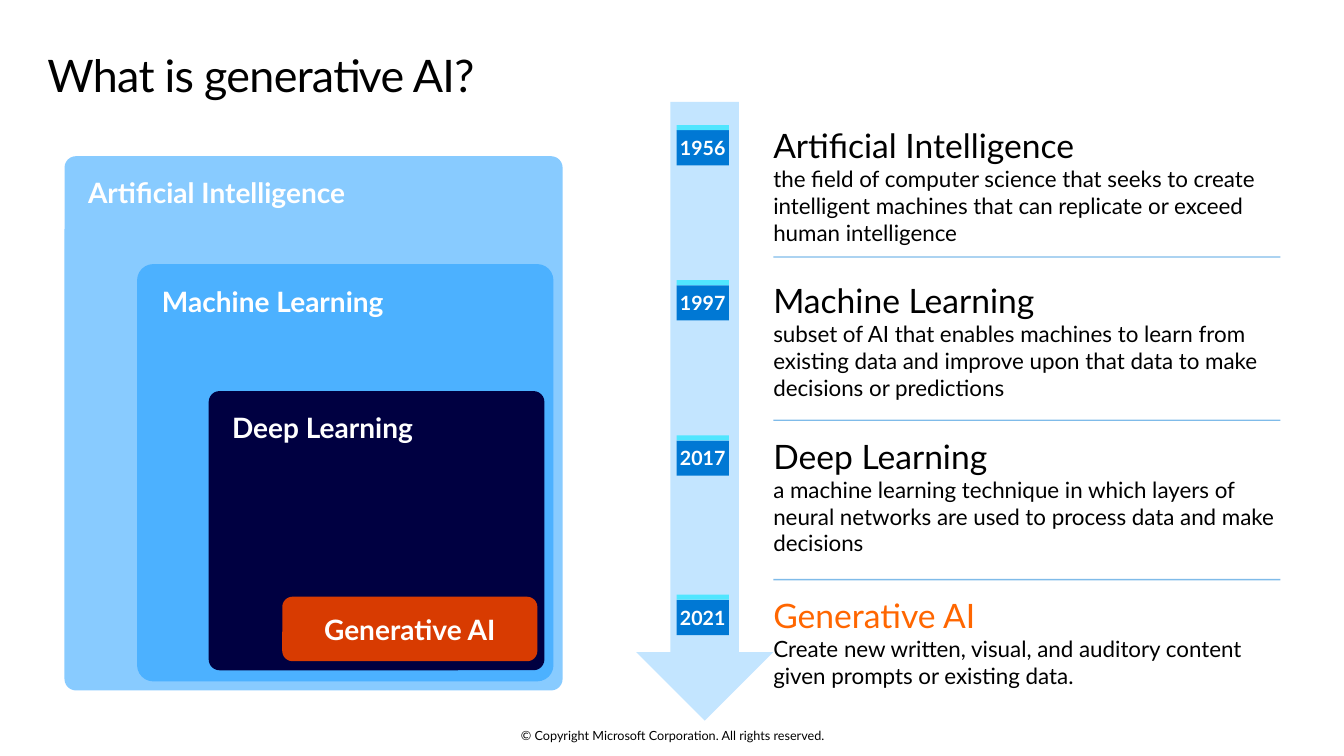
from lxml.etree import SubElement
from pptx import Presentation
from pptx.dml.color import RGBColor
from pptx.enum.shapes import MSO_CONNECTOR as Connector, MSO_SHAPE as Shape
from pptx.enum.text import MSO_ANCHOR as Anchor, PP_ALIGN as Align
from pptx.oxml.ns import qn
from pptx.util import Inches, Pt

FONT = "Lato"
COLORS = {
    "black": "000000",
    "white": "FFFFFF",
    "arrow": "C3E5FF",
    "blue": "0078D4",
    "cyan": "50E6FF",
    "orange": "FF6600",
    "ai": "88CBFF",
    "machine": "4CB1FF",
    "deep": "000041",
    "generative": "D83B01",
}
LAYERS = [
    ("Artificial Intelligence", (0.64, 1.55, 4.94, 5.3), 0.023, "ai"),
    ("Machine Learning", (1.36, 2.62, 4.13, 4.14), 0.039, "machine"),
    ("Deep Learning", (2.07, 3.88, 3.33, 2.77), 0.039, "deep"),
    ("Generative AI", (2.8, 5.92, 2.53, 0.64), 0.159, "generative"),
]
MILESTONES = [
    (1.24, "1956", "Artificial Intelligence", "black",
     "the field of computer science that seeks to create intelligent machines "
     "that can replicate or exceed human intelligence"),
    (2.78, "1997", "Machine Learning", "black",
     "subset of AI that enables machines to learn from existing data and "
     "improve upon that data to make decisions or predictions"),
    (4.32, "2017", "Deep Learning", "black",
     "a machine learning technique in which layers of neural networks are "
     "used to process data and make decisions"),
    (5.9, "2021", "Generative AI", "orange",
     "Create new written, visual, and auditory content given prompts or "
     "existing data."),
]
DIVIDERS = [2.55, 4.17, 5.75]
TEXT_LEFT, TEXT_WIDTH = 7.67, 5.03
BADGE_LEFT, BADGE_WIDTH = 6.71, 0.52
STRIP_HEIGHT, YEAR_HEIGHT = 0.05, 0.35


def color(name):
    """Return the named colour."""
    return RGBColor.from_string(COLORS[name])


def set_frame(text_frame, margins=(0, 0, 0, 0), anchor=Anchor.TOP):
    """Set wrapping, margins and vertical anchor of a text frame."""
    text_frame.word_wrap = True
    text_frame.vertical_anchor = anchor
    left, top, right, bottom = map(Inches, margins)
    text_frame.margin_left, text_frame.margin_top = left, top
    text_frame.margin_right, text_frame.margin_bottom = right, bottom


def write(paragraph, text, size, color_name, bold=False, align=Align.LEFT):
    """Write one formatted run in a paragraph."""
    paragraph.text = text
    paragraph.alignment = align
    font = paragraph.runs[0].font
    font.name, font.size, font.bold = FONT, Pt(size), bold
    font.color.rgb = color(color_name)


def add_filled(slide, kind, box, fill):
    """Add a borderless filled shape."""
    shape = slide.shapes.add_shape(kind, *map(Inches, box))
    shape.shadow.inherit = False
    shape.fill.solid()
    shape.fill.fore_color.rgb = color(fill)
    shape.line.fill.background()
    return shape


def add_text_box(slide, box, anchor=Anchor.TOP):
    """Add a text box without margins and return its text frame."""
    text_frame = slide.shapes.add_textbox(*map(Inches, box)).text_frame
    set_frame(text_frame, anchor=anchor)
    return text_frame


def add_title(slide, text):
    """Place and format the title placeholder."""
    title = slide.shapes.title
    title.left, title.top = Inches(0.47), Inches(0.43)
    title.width, title.height = Inches(12.4), Inches(0.74)
    set_frame(title.text_frame, (0, 0.1, 0.16, 0.1))
    paragraph = title.text_frame.paragraphs[0]
    write(paragraph, text, 32, "black")
    paragraph.line_spacing = 0.9
    paragraph.runs[0].font._element.set("spc", "-50")


def add_divider(slide, top):
    """Add a half-transparent horizontal line."""
    line = slide.shapes.add_connector(
        Connector.STRAIGHT, Inches(TEXT_LEFT), Inches(top),
        Inches(TEXT_LEFT + TEXT_WIDTH), Inches(top))
    line.line.width = Pt(1)
    line.line.color.rgb = color("blue")
    properties = line._element.spPr
    rgb = next(properties.iter(qn("a:srgbClr")))
    SubElement(rgb, qn("a:alpha"), val="50000")
    SubElement(properties, qn("a:effectLst"))


def add_layer(slide, text, box, rounding, fill, centred):
    """Add one labelled rounded box of the nested diagram."""
    shape = add_filled(slide, Shape.ROUNDED_RECTANGLE, box, fill)
    shape.adjustments[0] = rounding
    anchor = Anchor.MIDDLE if centred else Anchor.TOP
    set_frame(shape.text_frame, (0.2, 0.16, 0.2, 0.16), anchor)
    write(shape.text_frame.paragraphs[0], text, 20, "white", True,
          Align.CENTER if centred else Align.LEFT)


def add_milestone(slide, top, year, heading, heading_color, description):
    """Add a year badge with its heading and description."""
    badge = add_filled(
        slide, Shape.RECTANGLE,
        (BADGE_LEFT, top + STRIP_HEIGHT, BADGE_WIDTH, YEAR_HEIGHT), "blue")
    set_frame(badge.text_frame, anchor=Anchor.MIDDLE)
    write(badge.text_frame.paragraphs[0], year, 14, "white", True, Align.CENTER)
    add_filled(slide, Shape.RECTANGLE,
               (BADGE_LEFT, top, BADGE_WIDTH, STRIP_HEIGHT), "cyan")
    text_frame = add_text_box(slide, (TEXT_LEFT, top, TEXT_WIDTH, 1.21))
    write(text_frame.paragraphs[0], heading, 24, heading_color)
    paragraph = text_frame.add_paragraph()
    write(paragraph, description, 16, "black")
    paragraph.space_after = Pt(6)


def main():
    """Build and save the slide."""
    presentation = Presentation()
    presentation.slide_width = Inches(13.33)
    presentation.slide_height = Inches(7.5)
    slide = presentation.slides.add_slide(presentation.slide_layouts[5])
    copyright_frame = add_text_box(slide, (4.42, 7.22, 4.5, 0.15), Anchor.MIDDLE)
    write(copyright_frame.paragraphs[0],
          "© Copyright Microsoft Corporation. All rights reserved.",
          9, "black", align=Align.CENTER)
    add_filled(slide, Shape.DOWN_ARROW, (6.31, 1.01, 1.36, 6.14), "arrow")
    add_title(slide, "What is generative AI?")
    for top in DIVIDERS:
        add_divider(slide, top)
    for layer in LAYERS:
        add_layer(slide, *layer, centred=layer is LAYERS[-1])
    for milestone in MILESTONES:
        add_milestone(slide, *milestone)
    presentation.save("out.pptx")


if __name__ == "__main__":
    main()
